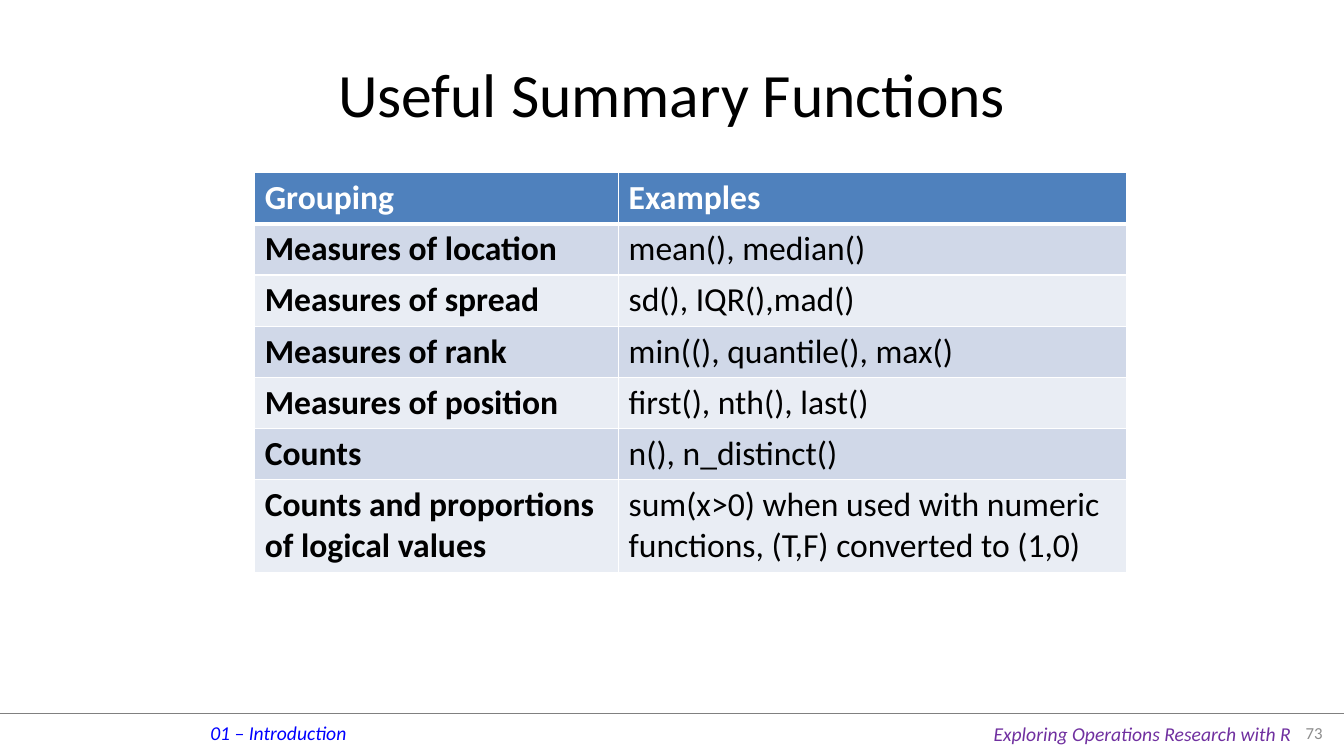
"""Build the slide that lists useful summary functions by grouping."""
from dataclasses import dataclass
from typing import Any, NamedTuple

from lxml import etree
from pptx import Presentation
from pptx import util as u
from pptx.dml.color import RGBColor
from pptx.enum import shapes, text
from pptx.oxml import ns


@dataclass(frozen=True)
class Theme:
    font: str = "Calibri"
    ink: str = "000000"
    white: str = "FFFFFF"
    header: str = "4F81BD"
    bands: tuple[str, str] = ("D0D8E8", "E9EDF4")
    rule: str = "808080"
    chapter: str = "0000FF"
    book: str = "7030A0"
    number: str = "8C8C8C"
    title_size: int = 44
    table_size: int = 24
    footer_size: int = 14
    number_size: int = 12
    border: int = 1
    header_border: int = 3


class Box(NamedTuple):
    left: float
    top: float
    width: float
    height: float

    def lengths(self) -> list[u.Cm]:
        return [u.Cm(side) for side in self]


class FooterLabel(NamedTuple):
    wording: str
    box: Box
    frame_format: dict[str, Any]
    align: text.PP_ALIGN
    size: int
    color: str
    italic: bool


class SummaryRow(NamedTuple):
    grouping: str
    examples: str
    height: float = 1.29


THEME = Theme()
SLIDE_WIDTH, SLIDE_HEIGHT = 33.87, 19.05
RULE_TOP = 17.96
TITLE_BOX = Box(1.7, 0.76, 30.48, 3.18)
TABLE_BOX = Box(6.42, 4.35, 21.97, 10.07)
COLUMN_WIDTHS = (9.17, 12.8)

GROWING = {"word_wrap": False, "auto_size": text.MSO_AUTO_SIZE.SHAPE_TO_FIT_TEXT}
CENTRED = {"word_wrap": True, "vertical_anchor": text.MSO_ANCHOR.MIDDLE}

FOOTER = (
    FooterLabel("01 – Introduction", Box(5.05, 18.03, 3.99, 0.86), GROWING,
                text.PP_ALIGN.LEFT, THEME.footer_size, THEME.chapter, True),
    FooterLabel("Exploring Operations Research with R", Box(24.79, 18.06, 8.08, 0.86), GROWING,
                text.PP_ALIGN.LEFT, THEME.footer_size, THEME.book, True),
    FooterLabel("73", Box(32.18, 17.96, 1.4, 0.99), CENTRED,
                text.PP_ALIGN.RIGHT, THEME.number_size, THEME.number, False),
)

SUMMARY = (
    SummaryRow("Grouping", "Examples"),
    SummaryRow("Measures of location", "mean(), median()"),
    SummaryRow("Measures of spread", "sd(), IQR(),mad()"),
    SummaryRow("Measures of rank", "min((), quantile(), max()"),
    SummaryRow("Measures of position", "first(), nth(), last()"),
    SummaryRow("Counts", "n(), n_distinct()"),
    SummaryRow("Counts and proportions of logical values",
               "sum(x>0) when used with numeric functions, (T,F) converted to (1,0)", 2.33),
)


def apply_format(target: Any, values: dict[str, Any]) -> None:
    for name, value in values.items():
        setattr(target, name, value)


def write(frame: Any, wording: str, align: text.PP_ALIGN, size: int, color: str,
          bold: bool = False, italic: bool = False) -> None:
    paragraph = frame.paragraphs[0]
    paragraph.alignment = align
    run = paragraph.add_run()
    run.text = wording
    apply_format(run.font, {"name": THEME.font, "size": u.Pt(size),
                            "bold": bold, "italic": italic})
    run.font.color.rgb = RGBColor.from_string(color)


def draw_title(slide: Any) -> None:
    title = slide.shapes.title
    apply_format(title, dict(zip(("left", "top", "width", "height"), TITLE_BOX.lengths())))
    apply_format(title.text_frame, CENTRED)
    write(title.text_frame, "Useful Summary Functions", text.PP_ALIGN.CENTER,
          THEME.title_size, THEME.ink)


def draw_footer_rule(slide: Any) -> None:
    rule = slide.shapes.add_connector(shapes.MSO_CONNECTOR.STRAIGHT, u.Cm(0), u.Cm(RULE_TOP),
                                      u.Cm(SLIDE_WIDTH), u.Cm(RULE_TOP))
    rule.line.color.rgb = RGBColor.from_string(THEME.rule)
    rule.line.width = u.Pt(0.25)
    etree.SubElement(rule._element.spPr, ns.qn("a:effectLst"))


def draw_footer_label(slide: Any, label: FooterLabel) -> None:
    frame = slide.shapes.add_textbox(*label.box.lengths()).text_frame
    apply_format(frame, label.frame_format)
    write(frame, label.wording, label.align, label.size, label.color, italic=label.italic)


def draw_borders(cell: Any, row_index: int) -> None:
    widths = {"L": THEME.border, "R": THEME.border,
              "T": THEME.header_border if row_index == 1 else THEME.border,
              "B": THEME.header_border if row_index == 0 else THEME.border}
    properties = cell._tc.get_or_add_tcPr()
    for order, (side, width) in enumerate(widths.items()):
        border = etree.Element(ns.qn(f"a:ln{side}"), w=str(u.Pt(width)))
        fill = etree.SubElement(border, ns.qn("a:solidFill"))
        etree.SubElement(fill, ns.qn("a:srgbClr"), val=THEME.white)
        properties.insert(order, border)


def draw_summary(slide: Any) -> None:
    table = slide.shapes.add_table(len(SUMMARY), len(COLUMN_WIDTHS), *TABLE_BOX.lengths()).table
    for column, width in zip(table.columns, COLUMN_WIDTHS):
        column.width = u.Cm(width)
    for row_index, summary in enumerate(SUMMARY):
        table.rows[row_index].height = u.Cm(summary.height)
        is_header = row_index == 0
        band = THEME.header if is_header else THEME.bands[(row_index - 1) % 2]
        for column_index, wording in enumerate((summary.grouping, summary.examples)):
            cell = table.cell(row_index, column_index)
            cell.fill.solid()
            cell.fill.fore_color.rgb = RGBColor.from_string(band)
            draw_borders(cell, row_index)
            write(cell.text_frame, wording, text.PP_ALIGN.LEFT, THEME.table_size,
                  THEME.white if is_header else THEME.ink,
                  bold=is_header or column_index == 0)


def main() -> None:
    deck = Presentation()
    deck.slide_width, deck.slide_height = u.Cm(SLIDE_WIDTH), u.Cm(SLIDE_HEIGHT)
    slide = deck.slides.add_slide(deck.slide_layouts.get_by_name("Title Only"))
    draw_footer_rule(slide)
    for label in FOOTER:
        draw_footer_label(slide, label)
    draw_title(slide)
    draw_summary(slide)
    deck.save("out.pptx")


if __name__ == "__main__":
    main()
